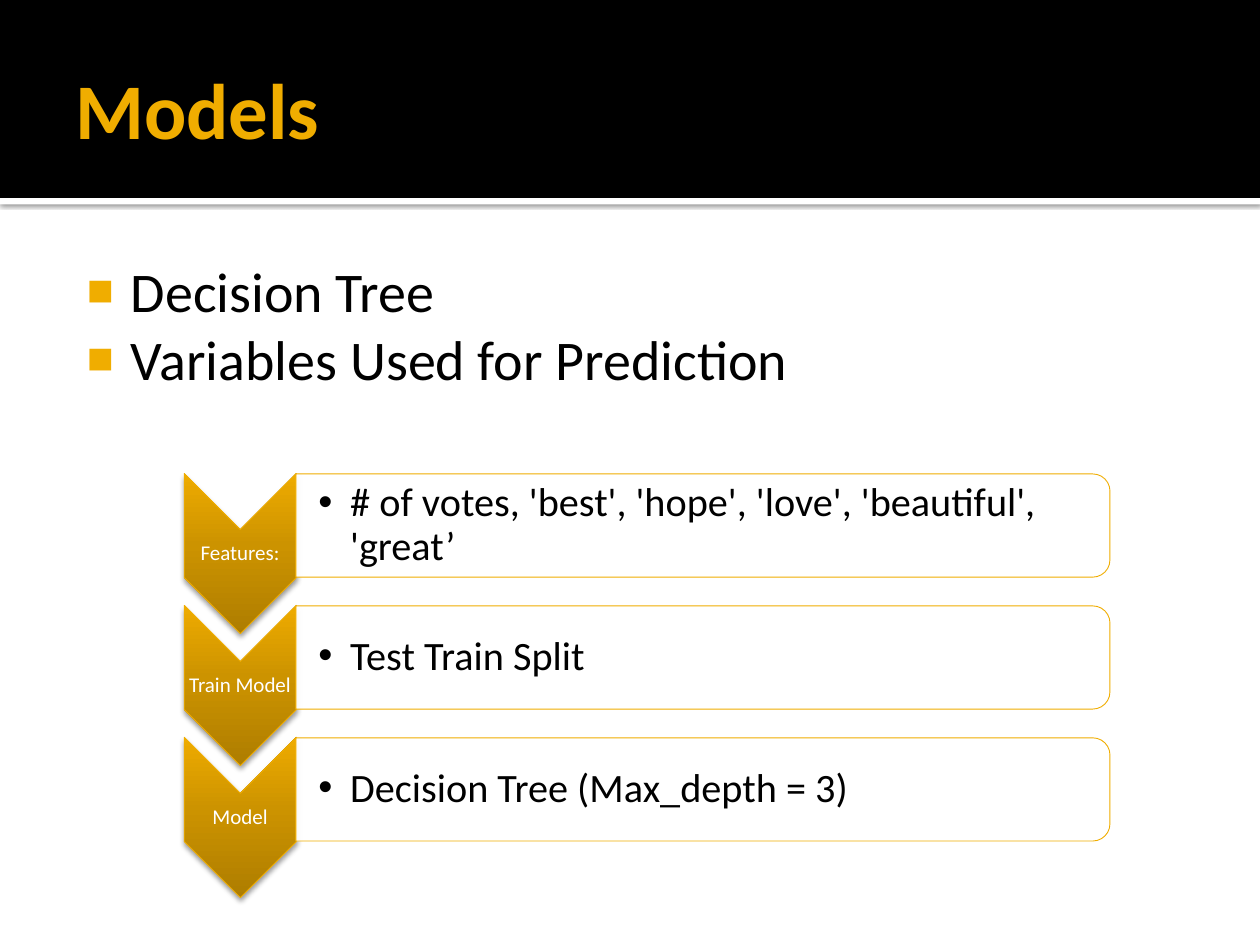
from lxml import etree
from pptx import Presentation
from pptx.dml.color import RGBColor
from pptx.enum.shapes import MSO_SHAPE
from pptx.enum.text import MSO_ANCHOR, PP_ALIGN
from pptx.oxml.ns import qn
from pptx.util import Cm, Pt

RECTANGLE = MSO_SHAPE.RECTANGLE
CHEVRON = MSO_SHAPE.CHEVRON
PANEL = MSO_SHAPE.ROUND_2_SAME_RECTANGLE
TOP, MIDDLE = MSO_ANCHOR.TOP, MSO_ANCHOR.MIDDLE
LEFT, CENTER = PP_ALIGN.LEFT, PP_ALIGN.CENTER

FONT = "Calibri"
COLORS = {
    "gold": "F0AD00",
    "gold_dark": "AE7D00",
    "gold_mid": "CC9300",
    "gold_light": "EEAB00",
    "black": "000000",
    "white": "FFFFFF",
}
GRADIENT = [(0, "gold_dark"), (55, "gold_mid"), (100, "gold_light")]
STEPS = [
    ("Features:", "# of votes, 'best', 'hope', 'love', 'beautiful', 'great’"),
    ("Train Model", "Test Train Split"),
    ("Model", "Decision Tree (Max_depth = 3)"),
]
STEP_PITCH = 2.66


def rgb(name):
    return RGBColor.from_string(COLORS[name])


def add_node(parent, tag, **attributes):
    node = etree.SubElement(parent, qn(tag))
    for name, value in attributes.items():
        node.set(name, str(value))
    return node


def add_shape(slide, kind, box, fill, line=None, rotation=0):
    shape = slide.shapes.add_shape(kind, *(Cm(value) for value in box))
    shape.shadow.inherit = False
    shape.rotation = rotation
    shape.fill.solid()
    shape.fill.fore_color.rgb = rgb(fill)
    if line:
        shape.line.color.rgb = rgb(line)
        shape.line.width = Pt(0.5)
    else:
        shape.line.fill.background()
    return shape


def add_shadow(shape, opacity, blur, distance):
    """Give the shape a black shadow that falls straight down."""
    effects = shape._element.spPr.find(qn("a:effectLst"))
    shadow = add_node(effects, "a:outerShdw", blurRad=Pt(blur), dist=Pt(distance),
                      dir=5400000, algn="ctr", rotWithShape=0)
    color = add_node(shadow, "a:srgbClr", val=COLORS["black"])
    add_node(color, "a:alpha", val=opacity * 1000)


def set_gradient(shape):
    """Shade the shape from dark at the bottom to light at the top."""
    shape.fill.gradient()
    shape.fill.gradient_angle = 90
    gradient = shape._element.spPr.find(qn("a:gradFill"))
    gradient.set("rotWithShape", "0")
    stops = gradient.find(qn("a:gsLst"))
    for stop in list(stops):
        stops.remove(stop)
    for position, color in GRADIENT:
        stop = add_node(stops, "a:gs", pos=position * 1000)
        add_node(stop, "a:srgbClr", val=COLORS[color])


def set_bullet(paragraph, character, margin, indent, color, size):
    properties = paragraph._p.get_or_add_pPr()
    properties.set("marL", str(Cm(margin)))
    properties.set("indent", str(Cm(-indent)))
    bullet_color = add_node(properties, "a:buClr")
    add_node(bullet_color, "a:srgbClr", val=COLORS[color])
    add_node(properties, "a:buSzPct", val=size * 1000)
    add_node(properties, "a:buFont", typeface="Arial")
    add_node(properties, "a:buChar", char=character)


def add_text(slide, box, lines, size, color, insets, anchor=MIDDLE,
             align=LEFT, bold=False, spacing=None, bullet=None):
    text_box = slide.shapes.add_textbox(*(Cm(value) for value in box))
    frame = text_box.text_frame
    frame.word_wrap = True
    frame.vertical_anchor = anchor
    (frame.margin_left, frame.margin_top,
     frame.margin_right, frame.margin_bottom) = (Cm(value) for value in insets)
    for index, line in enumerate(lines):
        paragraph = frame.add_paragraph() if index else frame.paragraphs[0]
        paragraph.alignment = align
        if spacing:
            paragraph.line_spacing = spacing
        if bullet:
            set_bullet(paragraph, *bullet)
        run = paragraph.add_run()
        run.text = line
        run.font.name = FONT
        run.font.size = Pt(size)
        run.font.bold = bold
        run.font.color.rgb = rgb(color)


def add_header(slide):
    strip = add_shape(slide, RECTANGLE, (0, 3.99, 25.4, 0.13), "white")
    add_shadow(strip, 60, 2.5, 0.8)
    add_shape(slide, RECTANGLE, (0, 0, 25.4, 3.99), "black")
    add_text(slide, (1.27, 0.43, 22.86, 3.48), ["Models"], 45, "gold",
             (0.25, 0.13, 0.13, 0.13), bold=True)


def add_step(slide, offset, label, detail):
    chevron = add_shape(slide, CHEVRON, (3.23, 10.03 + offset, 3.23, 2.26),
                        "gold", "gold", 90)
    set_gradient(chevron)
    add_shadow(chevron, 38, 3.1, 2)
    add_text(slide, (3.71, 10.67 + offset, 2.26, 0.97), [label], 12, "white",
             (0.02, 0.02, 0.02, 0.02), align=CENTER, spacing=0.9)

    panel = add_shape(slide, PANEL, (13.13, 2.39 + offset, 2.08, 16.41),
                      "white", "gold", 90)
    color = panel._element.spPr.find(qn("a:solidFill")).find(qn("a:srgbClr"))
    add_node(color, "a:alpha", val=90000)
    add_text(slide, (5.97, 9.65 + offset, 16.31, 1.88), [detail], 23, "black",
             (0.45, 0.04, 0.04, 0.04), spacing=0.9,
             bullet=("•", 0.64, 0.64, "black", 100))


def main():
    presentation = Presentation()
    presentation.slide_width = Cm(25.4)
    presentation.slide_height = Cm(19.05)
    slide = presentation.slides.add_slide(presentation.slide_layouts[6])

    add_header(slide)
    add_text(slide, (1.27, 4.93, 22.86, 12.85),
             ["Decision Tree", "Variables Used for Prediction"], 32, "black",
             (0.15, 0.25, 0.25, 0.13), anchor=TOP,
             bullet=("■", 1.22, 0.89, "gold", 80))
    for index, (label, detail) in enumerate(STEPS):
        add_step(slide, index * STEP_PITCH, label, detail)

    presentation.save("out.pptx")


if __name__ == "__main__":
    main()
